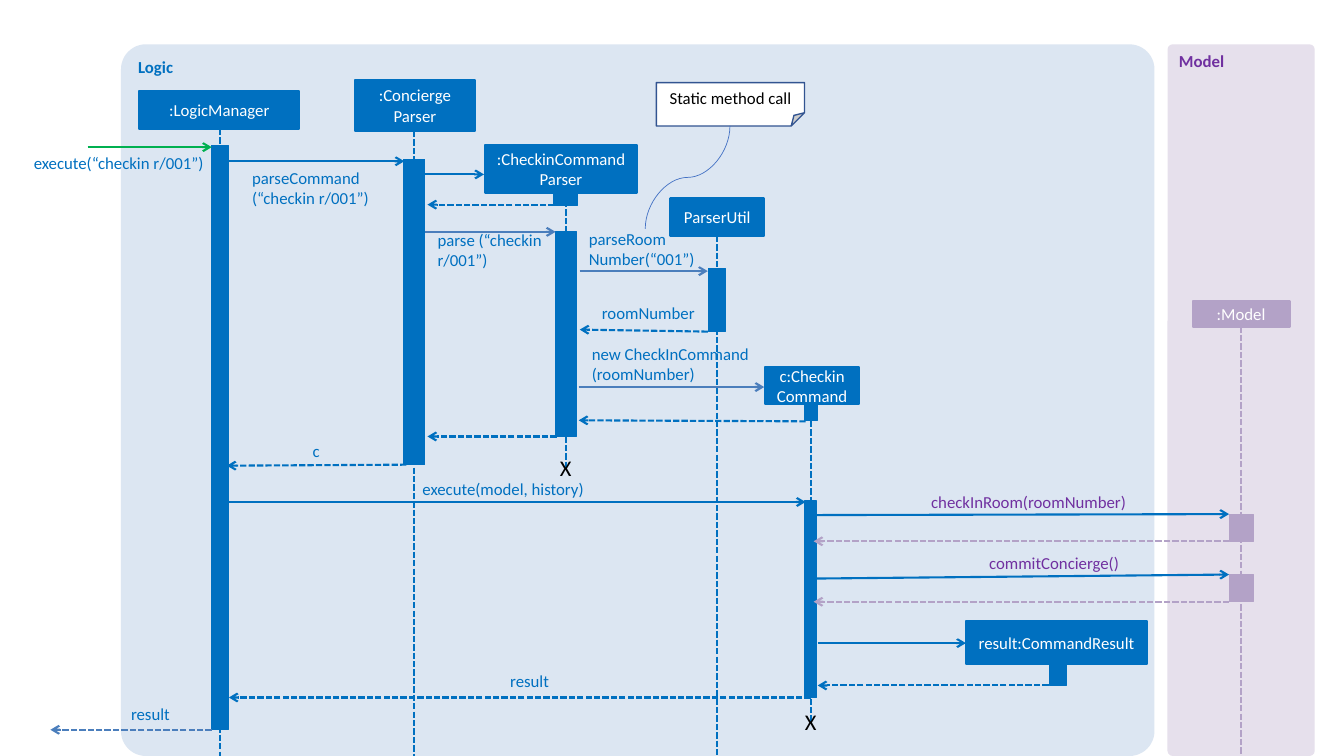
from pptx import Presentation
from pptx.dml.color import RGBColor
from pptx.enum.dml import MSO_LINE
from pptx.enum.shapes import MSO_CONNECTOR, MSO_SHAPE
from pptx.enum.text import MSO_ANCHOR, PP_ALIGN
from pptx.oxml.ns import qn
from pptx.util import Inches, Pt
from lxml.etree import SubElement

BLUE = RGBColor(0x00, 0x70, 0xC0)
STEEL = RGBColor(0x4B, 0x7E, 0xBC)
GREEN = RGBColor(0x00, 0xB0, 0x50)
PURPLE = RGBColor(0x70, 0x30, 0xA0)
LILAC = RGBColor(0xB3, 0xA2, 0xC7)
PALE_BLUE = RGBColor(0xDC, 0xE6, 0xF2)
PALE_LILAC = RGBColor(0xE6, 0xE0, 0xEC)
NAVY = RGBColor(0x32, 0x54, 0x91)
CURVE_BLUE = RGBColor(0x44, 0x72, 0xC4)
WHITE = RGBColor(0xFF, 0xFF, 0xFF)
BLACK = RGBColor(0x00, 0x00, 0x00)


def write(tf, text, color, align=PP_ALIGN.LEFT, anchor=MSO_ANCHOR.TOP,
          size=12, bold=False):
    """Fill a text frame with uniformly formatted Calibri text."""
    tf.word_wrap = True
    tf.vertical_anchor = anchor
    tf.text = text
    for p in tf.paragraphs:
        p.alignment = align
        p.font.size = Pt(size)
        for r in p.runs:
            r.font.name = "Calibri"
            r.font.size = Pt(size)
            r.font.bold = bold
            r.font.color.rgb = color


def block(s, kind, box, fill, line=None, width=0.75):
    """Add a flat preset shape with an optional outline."""
    sp = s.shapes.add_shape(kind, *map(Inches, box))
    sp.shadow.inherit = False
    sp.fill.solid()
    sp.fill.fore_color.rgb = fill
    if line is None:
        sp.line.fill.background()
    else:
        sp.line.color.rgb = line
        sp.line.width = Pt(width)
    return sp


def label(s, x, y, w, text, color=BLUE, align=PP_ALIGN.LEFT, size=12):
    """Add borderless text without insets, its top left at (x, y)."""
    tb = s.shapes.add_textbox(Inches(x), Inches(y), Inches(w), Inches(0.2))
    tf = tb.text_frame
    tf.margin_left = tf.margin_right = tf.margin_top = tf.margin_bottom = 0
    write(tf, text, color, align, size=size)


def connect(s, start, end, color, dashed=False, arrow=True, width=1.5,
            kind=MSO_CONNECTOR.STRAIGHT):
    """Draw a line from start to end, with an open arrowhead if wanted."""
    c = s.shapes.add_connector(kind, *map(Inches, (*start, *end)))
    c.line.color.rgb = color
    c.line.width = Pt(width)
    if dashed:
        c.line.dash_style = MSO_LINE.SQUARE_DOT
    ln = c._element.spPr.find(qn("a:ln"))
    if arrow:
        SubElement(ln, qn("a:tailEnd"), type="arrow")
    SubElement(c._element.spPr, qn("a:effectLst"))
    return c


def draw_panel(s, box, title, fill, color):
    """Draw the rounded background of a component and its name."""
    sp = block(s, MSO_SHAPE.ROUNDED_RECTANGLE, box, fill)
    sp.adjustments[0] = 0.035
    write(sp.text_frame, title, color, bold=True)


def draw_lifeline(s, box, header, name, axis, end, bars, color=BLUE,
                  destroyed=False):
    """Draw a participant in box: header, dashed line down to end, and bars."""
    left, top = box[:2]
    x, y, w, h = header
    axis += left
    if end:
        connect(s, (axis, top + y + h), (axis, top + end), color, True, False)
    sp = block(s, MSO_SHAPE.RECTANGLE, (left + x, top + y, w, h),
               color, color, 1.5)
    tf = sp.text_frame
    tf.margin_left = tf.margin_right = Inches(0.05)
    write(tf, name, WHITE, PP_ALIGN.CENTER, MSO_ANCHOR.MIDDLE)
    for bar_y, bar_w, bar_h in bars:
        block(s, MSO_SHAPE.RECTANGLE,
              (axis - bar_w / 2, top + bar_y, bar_w, bar_h), color, color)
    if destroyed:
        label(s, axis - 0.15, top + end - 0.13, 0.3, "X", BLACK,
              PP_ALIGN.CENTER, 16)


def draw_note(s, box):
    """Draw the folded note and the curve leading down to its call."""
    x, y, w, h = box
    sp = block(s, MSO_SHAPE.FOLDED_CORNER, box, WHITE, NAVY, 1)
    geom = sp._element.spPr.find(qn("a:prstGeom"))
    SubElement(geom.find(qn("a:avLst")), qn("a:gd"), name="adj",
               fmla="val 30500")
    write(sp.text_frame, "Static method call", BLACK, PP_ALIGN.CENTER,
          MSO_ANCHOR.BOTTOM)
    # The turned curve leaves the note vertically.
    c = connect(s, (x + 0.82, y + 1.36), (x - 0.2, y + 0.52), CURVE_BLUE,
                arrow=False, width=0.5, kind=MSO_CONNECTOR.CURVE)
    c._element.spPr.find(qn("a:xfrm")).set("rot", "5400000")


def draw_logic(s, box):
    """Draw the Logic component: participants, messages and labels."""
    left, top, _, bottom = box
    draw_panel(s, box, "Logic", PALE_BLUE, BLUE)
    participants = [
        ((0.18, 0.46, 1.59, 0.38), ":LogicManager", 0.98, bottom,
         [(1.0, 0.17, 5.8)], False),
        ((2.32, 0.35, 1.19, 0.51), ":Concierge\nParser", 2.91, bottom,
         [(1.14, 0.21, 3.03)], False),
        ((3.61, 1.0, 1.51, 0.47), ":CheckinCommand\nParser", 4.41, 4.2,
         [(1.47, 0.23, 0.13), (1.86, 0.21, 2.03)], True),
        ((5.45, 1.53, 0.93, 0.37), "ParserUtil", 5.91, bottom,
         [(2.22, 0.17, 0.63)], False),
        ((6.39, 3.2, 0.93, 0.37), "c:Checkin\vCommand", 6.84, 6.72,
         [(3.57, 0.13, 0.16), (4.53, 0.12, 1.95)], True),
        ((8.38, 5.72, 1.8, 0.43), "result:CommandResult", 9.29, None,
         [(6.15, 0.17, 0.21)], False),
    ]
    for header, name, axis, end, bars, destroyed in participants:
        draw_lifeline(s, box, header, name, axis, end, bars,
                      destroyed=destroyed)

    calls = [(-0.33, 0.9, 1.02, GREEN), (1.07, 2.81, 1.16, BLUE),
             (3.01, 3.6, 1.29, BLUE), (3.02, 4.31, 1.86, STEEL),
             (4.55, 5.82, 2.25, STEEL), (4.54, 6.38, 3.4, STEEL),
             (1.03, 6.79, 4.54, BLUE), (6.91, 8.38, 5.94, BLUE)]
    for x1, x2, y, color in calls:
        connect(s, (left + x1, top + y), (left + x2, top + y), color)
    returns = [(4.3, 1.59, 3.04, 1.59, BLUE), (5.82, 2.85, 4.55, 2.83, BLUE),
               (6.79, 3.74, 4.54, 3.73, BLUE), (4.32, 3.89, 3.04, 3.89, BLUE),
               (2.83, 4.17, 1.05, 4.18, BLUE), (9.2, 6.36, 6.91, 6.36, BLUE),
               (6.84, 6.48, 1.07, 6.48, BLUE), (0.9, 6.8, -0.7, 6.8, STEEL)]
    for x1, y1, x2, y2, color in returns:
        connect(s, (left + x1, top + y1), (left + x2, top + y2), color, True)

    label(s, left - 0.96, top + 1.08, 1.78, "execute(“checkin r/001”)",
          align=PP_ALIGN.RIGHT)
    labels = [(1.3, 1.22, 1.48, "parseCommand (“checkin r/001”)"),
              (3.14, 1.84, 1.06, "parse (“checkin r/001”)"),
              (4.64, 1.83, 1.1, "parseRoom\nNumber(“001”)"),
              (4.77, 2.56, 1.1, "roomNumber"),
              (4.67, 2.97, 1.67, "new CheckInCommand\n(roomNumber)"),
              (1.9, 3.93, 0.24, "c"),
              (2.99, 4.31, 2.03, "execute(model, history)"),
              (3.86, 6.21, 0.68, "result"), (0.1, 6.54, 0.83, "result")]
    for x, y, w, text in labels:
        label(s, left + x, top + y, w, text)
    draw_note(s, (left + 5.31, top + 0.38, 1.47, 0.43))


def draw_model(s, box):
    """Draw the Model component with its single participant."""
    draw_panel(s, box, "Model", PALE_LILAC, PURPLE)
    draw_lifeline(s, box, (0.25, 2.55, 0.96, 0.25), ":Model", 0.73, box[3],
                  [(4.66, 0.24, 0.27), (5.26, 0.24, 0.27)], LILAC)


def draw_model_call(s, box, text, label_right, drop):
    """Draw one call from Logic to Model, rising by drop, and its return."""
    x, y, w, h = box
    connect(s, (x, y + drop), (x + w, y), BLUE)
    connect(s, (x + w, y + h), (x, y + h), LILAC, True)
    label(s, x + label_right - 2.03, y - 0.22, 2.03, text, PURPLE,
          PP_ALIGN.RIGHT)


prs = Presentation()
prs.slide_width, prs.slide_height = Inches(13.33), Inches(7.5)
s = prs.slides.add_slide(prs.slide_layouts[6])
draw_model(s, (11.58, 0.44, 1.46, 7.06))
draw_logic(s, (1.2, 0.44, 10.25, 7.06))
draw_model_call(s, (8.07, 5.1, 4.12, 0.27), "checkInRoom(roomNumber)", 3.1, 0.01)
draw_model_call(s, (8.07, 5.7, 4.12, 0.27), "commitConcierge()", 3.03, 0.04)
prs.save("out.pptx")
